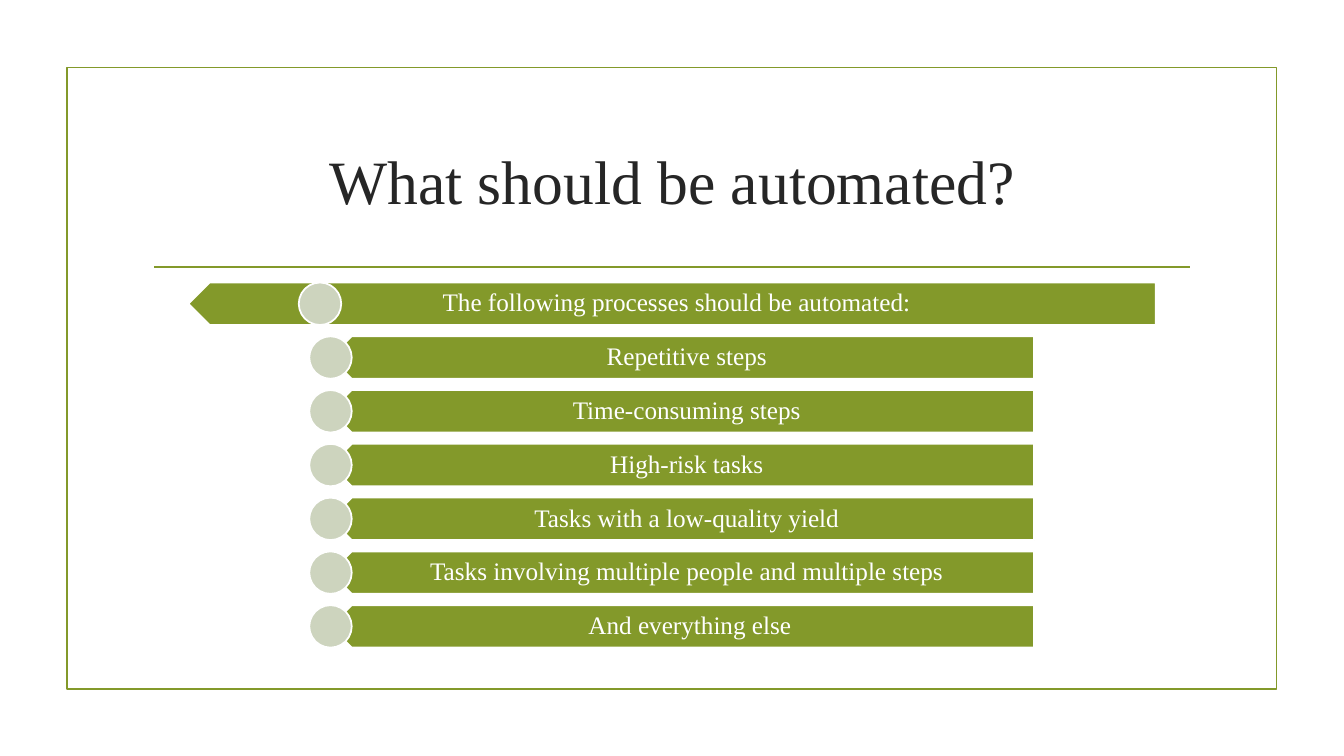
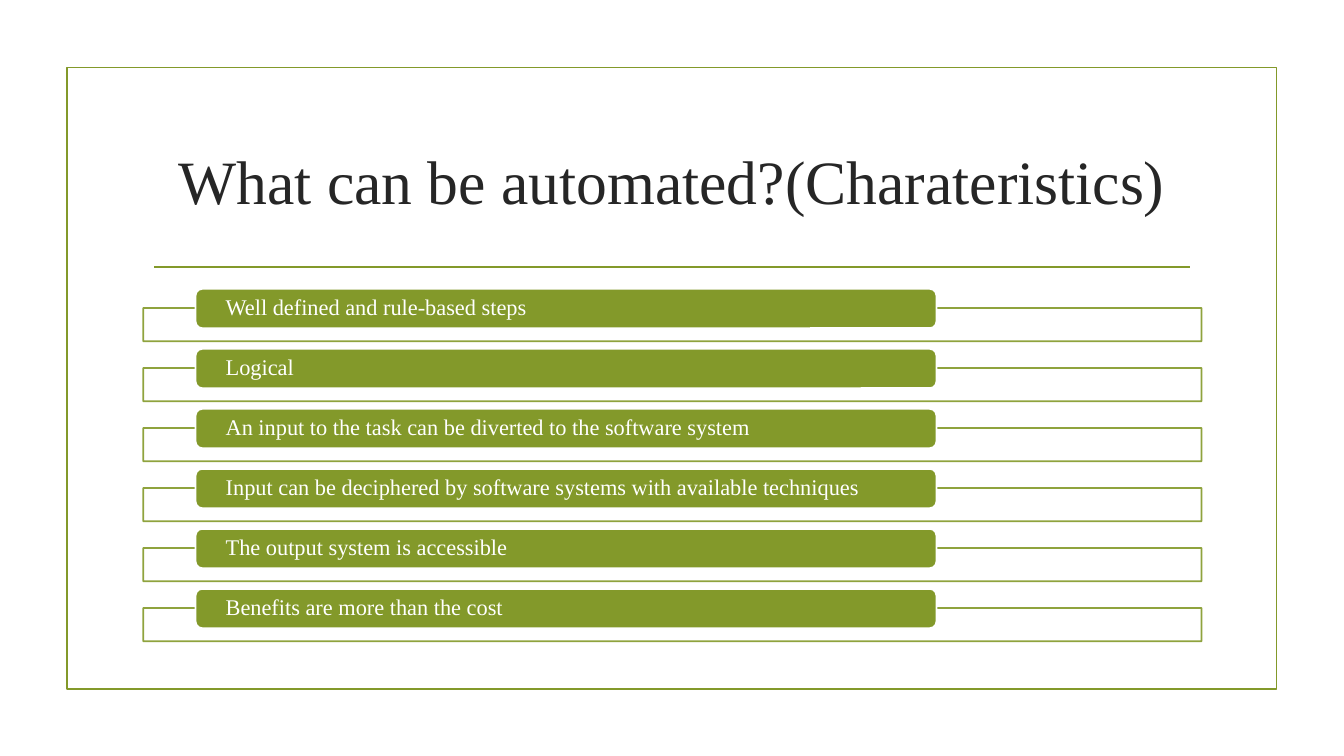
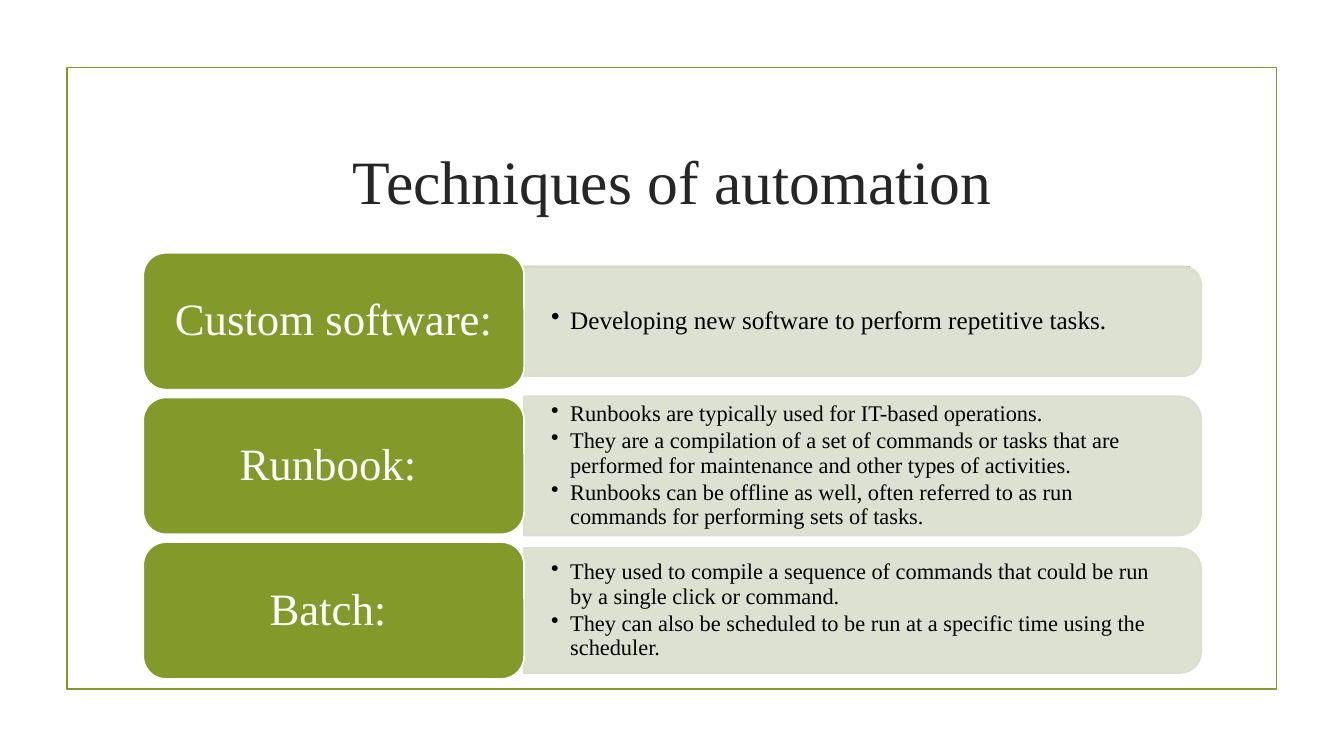
"""Build three slides on what to automate and how."""
from dataclasses import dataclass

from lxml.etree import SubElement
from pptx import Presentation
from pptx.dml.color import RGBColor
from pptx.enum.shapes import MSO_CONNECTOR, MSO_SHAPE
from pptx.enum.text import MSO_ANCHOR, PP_ALIGN
from pptx.oxml.ns import qn
from pptx.util import Cm, Pt


@dataclass(frozen=True)
class Theme:
    """Colours, font and sizes shared by the slides."""
    green: str = "83992A"
    white: str = "FFFFFF"
    dot: str = "CDD4BE"
    panel: str = "D9DECD"
    title: str = "262626"
    black: str = "000000"
    font: str = "Times New Roman"
    head: int = 44
    label: int = 32
    body: int = 18
    small: int = 16
    rule: float = 1.25


THEME = Theme()

SHOULD = (
    "What should be automated?",
    "The following processes should be automated: ",
    ["Repetitive steps ", "Time-consuming steps ", "High-risk tasks ",
     "Tasks with a low-quality yield ",
     "Tasks involving multiple people and multiple steps ",
     "And everything else"],
)
TRAITS = (
    "What can be automated?(Charateristics)",
    ["Well defined and rule-based steps", "Logical",
     "An input to the task can be diverted to the software system",
     "Input can be deciphered by software systems with available techniques",
     "The output system is accessible", "Benefits are more than the cost"],
)
METHODS = (
    "Techniques of automation",
    [("Custom software:", 2.77, THEME.body,
      ["Developing new software to perform repetitive tasks."]),
     ("Runbook: ", 3.51, THEME.small,
      ["Runbooks are typically used for IT-based operations.",
       "They are a compilation of a set of commands or tasks that are "
       "performed for maintenance and other types of activities.",
       "Runbooks can be offline as well, often referred to as run commands "
       "for performing sets of tasks."]),
     ("Batch: ", 3.15, THEME.small,
      ["They used to compile a sequence of commands that could be run by a "
       "single click or command.",
       "They can also be scheduled to be run at a specific time using the "
       "scheduler."])],
)


def colour(code):
    """Turn a hex code into a colour."""
    return RGBColor.from_string(code)


def spread(first, last, items):
    """Pair each item with its top, evenly spaced."""
    step = (last - first) / (len(items) - 1)
    return [(first + i * step, item) for i, item in enumerate(items)]


def fade(shape):
    """Make the fill and line of a shape slightly see-through."""
    for tint in shape.element.spPr.iter(qn("a:srgbClr")):
        SubElement(tint, qn("a:alpha"), val="90000")


def draw(slide, kind, box, fill, line):
    """Add a preset shape at a box given in centimetres."""
    shape = slide.shapes.add_shape(kind, *map(Cm, box))
    shape.shadow.inherit = False
    if fill:
        shape.fill.solid()
        shape.fill.fore_color.rgb = colour(fill)
    else:
        shape.fill.background()
    shape.line.color.rgb = colour(line)
    shape.line.width = Pt(THEME.rule)
    return shape


def write(shape, lines, size, ink, align, pads=None, bullet=False, lead=0.9):
    """Fill a shape with one paragraph a line."""
    frame = shape.text_frame
    frame.word_wrap = True
    frame.vertical_anchor = MSO_ANCHOR.MIDDLE
    if pads:
        (frame.margin_left, frame.margin_top,
         frame.margin_right, frame.margin_bottom) = map(Cm, pads)
    for i, line in enumerate(lines):
        para = frame.add_paragraph() if i else frame.paragraphs[0]
        para.alignment = align
        para.line_spacing = lead
        if bullet:
            para.space_after = Pt(size * 0.15)
            props = para._p.get_or_add_pPr()
            props.set("marL", str(Cm(0.48)))
            props.set("indent", str(-Cm(0.48)))
            SubElement(props, qn("a:buChar"), char="•")
        run = para.add_run()
        run.text = line
        run.font.name = THEME.font
        run.font.size = Pt(size)
        run.font.color.rgb = colour(ink)


def dress(layout, slide):
    """Move the frame and rule into the layout."""
    frame = draw(slide, MSO_SHAPE.RECTANGLE, (1.69, 1.7, 30.48, 15.67),
                 None, THEME.green)
    rule = slide.shapes.add_connector(
        MSO_CONNECTOR.STRAIGHT, Cm(3.89), Cm(6.73), Cm(30), Cm(6.73))
    rule.line.color.rgb = colour(THEME.green)
    rule.line.width = Pt(THEME.rule)
    SubElement(rule.element.spPr, qn("a:effectLst"))
    for key, part in enumerate((frame, rule), 90):
        part.element.xpath(".//p:cNvPr")[0].set("id", str(key))
        layout.shapes.element.append(part.element)


def start(deck, text):
    """Add a slide with its title."""
    slide = deck.slides.add_slide(deck.slide_layouts[5])
    title = slide.shapes.title
    title.left, title.top = Cm(3.61), Cm(2.72)
    title.width, title.height = Cm(26.67), Cm(3.63)
    write(title, [text], THEME.head, THEME.title, PP_ALIGN.CENTER, lead=1.0)
    return slide


def arrows(slide, head, items):
    """Stack left-pointing bars, each with a dot."""
    high = 1.07
    rows = [(4.75, 24.38, 7.53, head)]
    rows += [(8.33, 17.73, 8.33 - high / 2, item) for item in items]
    for top, (left, wide, dot, text) in spread(7.12, 15.25, rows):
        bar = draw(slide, MSO_SHAPE.PENTAGON, (left, top, wide, high),
                   THEME.green, THEME.white)
        bar.element.spPr.find(qn("a:xfrm")).set("flipH", "1")
        write(bar, [text], THEME.body, THEME.white, PP_ALIGN.CENTER,
              (0.48, 0.18, 0.36, 0.18))
        draw(slide, MSO_SHAPE.OVAL, (dot, top, high, high),
             THEME.dot, THEME.white)


def pills(slide, items):
    """Stack rounded labels over open boxes."""
    for top, text in spread(7.28, 14.84, items):
        fade(draw(slide, MSO_SHAPE.RECTANGLE, (3.61, top + 0.48, 26.67, 0.84),
                  THEME.white, THEME.green))
        pill = draw(slide, MSO_SHAPE.ROUNDED_RECTANGLE,
                    (4.93, top, 18.67, 0.99), THEME.green, THEME.white)
        write(pill, [text], THEME.small, THEME.white, PP_ALIGN.LEFT,
              (0.71, 0, 0.71, 0))


def panels(slide, rows):
    """Set each label beside a panel of bullets."""
    left, wide, tall = 13.2, 17.07, 3.45
    for top, (name, high, size, lines) in spread(6.37, 13.66, rows):
        mid = top + tall / 2
        panel = draw(slide, MSO_SHAPE.ROUND_2_SAME_RECTANGLE,
                     (left + (wide - high) / 2, mid - wide / 2, high, wide),
                     THEME.panel, THEME.panel)
        panel.rotation = 90
        fade(panel)
        notes = slide.shapes.add_textbox(
            *map(Cm, (left, mid - high / 2, 16.92, high)))
        write(notes, lines, size, THEME.black, PP_ALIGN.LEFT,
              (0.69, 0.36, 0.69, 0.36), bullet=True)
        label = draw(slide, MSO_SHAPE.ROUNDED_RECTANGLE,
                     (3.61, top, 9.6, tall), THEME.green, THEME.white)
        write(label, [name], THEME.label, THEME.white, PP_ALIGN.CENTER,
              (0.33, 0.18, 0.33, 0.18))


def main():
    """Build and save the deck."""
    deck = Presentation()
    deck.slide_width, deck.slide_height = Cm(33.87), Cm(19.05)
    for build, (title, *parts) in ((arrows, SHOULD), (pills, TRAITS),
                                   (panels, METHODS)):
        slide = start(deck, title)
        if len(deck.slides) == 1:
            dress(slide.slide_layout, slide)
        build(slide, *parts)
    deck.save("out.pptx")


if __name__ == "__main__":
    main()
